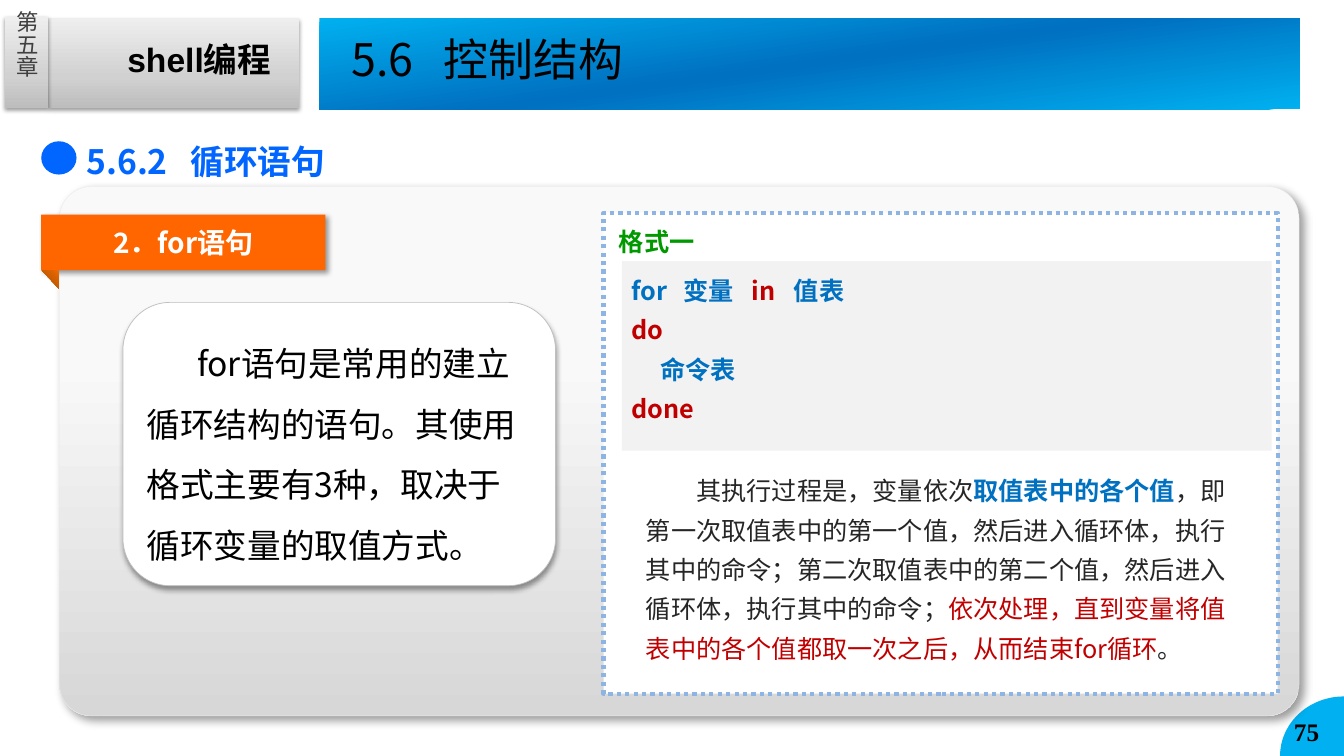
from dataclasses import dataclass
from math import cos, pi, sin
from typing import Optional

from pptx import Presentation
from pptx.dml.color import RGBColor
from pptx.enum.dml import MSO_LINE
from pptx.enum.shapes import MSO_SHAPE
from pptx.enum.text import MSO_ANCHOR, MSO_AUTO_SIZE, PP_ALIGN
from pptx.oxml import parse_xml
from pptx.oxml.ns import nsdecls, qn
from pptx.util import Cm, Pt


@dataclass(frozen=True)
class Theme:
    sans: str = "Noto Sans CJK SC"
    arial: str = "Arial"
    serif: str = "Times New Roman"
    black: str = "000000"
    white: str = "FFFFFF"
    dark: str = "262626"
    gray: str = "404040"
    code_back: str = "F2F2F2"
    section: str = "0066FF"
    orange: str = "FF6600"
    green: str = "009900"
    blue: str = "0070C0"
    red: str = "C00000"
    sky: str = "00B0F0"
    dots: str = "8EB4E3"
    card_edge: str = "EAEAEA"
    note_edge: str = "BFBFBF"
    title_size: int = 32
    large: int = 24
    ribbon_size: int = 20
    body: int = 18
    small: int = 16


THEME = Theme()
Box = tuple[float, float, float, float]  # left, top, width, height in cm


@dataclass(frozen=True)
class Gradient:
    stops: tuple[tuple[int, str], ...]
    angle: Optional[int] = None  # None: radial from the lower left corner


@dataclass(frozen=True)
class Shadow:
    alpha: int
    blur: float
    distance: float
    angle: int


@dataclass(frozen=True)
class Panel:
    box: Box
    fill: str | Gradient
    kind: MSO_SHAPE = MSO_SHAPE.RECTANGLE
    edge: Optional[tuple[str, float]] = None
    shadow: Optional[Shadow] = None


@dataclass(frozen=True)
class Run:
    text: str
    color: str = THEME.black
    bold: bool = False


@dataclass(frozen=True)
class Para:
    runs: tuple[Run, ...]
    size: int = THEME.body
    font: str = THEME.sans
    align: PP_ALIGN = PP_ALIGN.LEFT
    spacing: float = 1.0
    indent: float = 0
    tabs: tuple[float, ...] = ()


def draw_panel(slide, panel: Panel):
    shape = slide.shapes.add_shape(panel.kind, *map(Cm, panel.box))
    paint(shape, panel.fill)
    shape.line.fill.background()
    if panel.edge:
        color, width = panel.edge
        shape.line.color.rgb = RGBColor.from_string(color)
        shape.line.width = Pt(width)
    if panel.shadow:
        cast_shadow(shape, panel.shadow)
    return shape


def paint(shape, fill: str | Gradient) -> None:
    shape.shadow.inherit = False
    shape.fill.solid()
    if isinstance(fill, str):
        shape.fill.fore_color.rgb = RGBColor.from_string(fill)
        return
    stops = "".join(f'<a:gs pos="{pos * 1000}"><a:srgbClr val="{color}"/></a:gs>'
                    for pos, color in fill.stops)
    if fill.angle is None:
        course = '<a:path path="circle"><a:fillToRect t="100000" r="100000"/></a:path>'
    else:
        course = f'<a:lin ang="{fill.angle * 60000}" scaled="0"/>'
    properties = shape._element.spPr
    properties.replace(properties.find(qn("a:solidFill")), parse_xml(
        f'<a:gradFill {nsdecls("a")} rotWithShape="1"><a:gsLst>{stops}</a:gsLst>{course}</a:gradFill>'))


def cast_shadow(shape, shadow: Shadow) -> None:
    shape._element.spPr.find(qn("a:effectLst")).append(parse_xml(
        f'<a:outerShdw {nsdecls("a")} blurRad="{Pt(shadow.blur)}" dist="{Pt(shadow.distance)}" '
        f'dir="{shadow.angle * 60000}" algn="tl" rotWithShape="0"><a:srgbClr val="{THEME.black}">'
        f'<a:alpha val="{shadow.alpha * 1000}"/></a:srgbClr></a:outerShdw>'))


def write(shape, *paras: Para, anchor: MSO_ANCHOR = MSO_ANCHOR.TOP,
          inset: tuple[float, float] = (0.25, 0.13)) -> None:
    frame = shape.text_frame
    frame.word_wrap = True
    frame.auto_size = MSO_AUTO_SIZE.NONE
    frame.vertical_anchor = anchor
    frame.margin_left = frame.margin_right = Cm(inset[0])
    frame.margin_top = frame.margin_bottom = Cm(inset[1])
    for index, para in enumerate(paras):
        paragraph = frame.add_paragraph() if index else frame.paragraphs[0]
        paragraph.alignment = para.align
        paragraph.line_spacing = para.spacing
        properties = paragraph._p.get_or_add_pPr()
        if para.indent:
            properties.set("indent", str(Cm(para.indent)))
        if para.tabs:
            stops = "".join(f'<a:tab pos="{Cm(tab)}" algn="l"/>' for tab in para.tabs)
            properties.append(parse_xml(f'<a:tabLst {nsdecls("a")}>{stops}</a:tabLst>'))
        paragraph.font.size = Pt(para.size)
        paragraph.font.name = para.font
        properties.find(qn("a:defRPr")).append(
            parse_xml(f'<a:ea {nsdecls("a")} typeface="{THEME.sans}"/>'))
        uniform = len({(run.color, run.bold) for run in para.runs}) == 1
        for run in para.runs:
            piece = paragraph.add_run()
            piece.text = run.text
            font = paragraph.font if uniform else piece.font
            font.color.rgb = RGBColor.from_string(run.color)
            font.bold = run.bold


def add_text(slide, box: Box, para: Para, **layout):
    label = slide.shapes.add_textbox(*map(Cm, box))
    write(label, para, **layout)
    return label


def draw_header(slide) -> None:
    silver = Gradient(((0, "BDBDBD"), (35, "D1D1D1"), (100, "EEEEEE")), 270)
    tab_shadow = Shadow(38, 3.1, 1.6, 90)
    draw_panel(slide, Panel((1.22, 0.46, 6.32, 2.26), silver, shadow=tab_shadow))
    add_text(slide, (2.57, 0.86, 5.49, 1.35),
             Para((Run("shell编程", bold=True),), THEME.large, THEME.arial), inset=(0.64, 0.13))
    draw_panel(slide, Panel((0.13, 0.43, 1.09, 2.29), silver, shadow=tab_shadow))
    chapter = add_text(slide, (0.3, 0.28, 0.74, 2.67),
                       Para((Run("第五章", THEME.gray),), THEME.small, align=PP_ALIGN.CENTER),
                       anchor=MSO_ANCHOR.MIDDLE, inset=(0, 0))
    chapter.text_frame._txBody.bodyPr.set("vert", "eaVert")

    # Banner with the title above it
    draw_panel(slide, Panel((8.05, 0.46, 24.71, 2.29), Gradient(
        ((0, THEME.sky), (50, THEME.blue), (100, THEME.sky)), 262)))
    title = slide.shapes.title
    title.left, title.top, title.width, title.height = map(Cm, (8.86, 0.79, 10.69, 1.75))
    write(title, Para((Run("5.6\t控制结构"),), THEME.title_size, tabs=(2.32,)), inset=(0, 0))
    slide.shapes._spTree.append(title._element)


def draw_page_corner(slide) -> None:
    right, bottom, steps = 33.87, 19.05, 24
    arc = [(Cm(right - 1.61 * cos(i * pi / 2 / steps)), Cm(bottom - 1.5 * sin(i * pi / 2 / steps)))
           for i in range(steps + 1)]
    builder = slide.shapes.build_freeform(*arc[0])
    builder.add_line_segments(arc[1:] + [(Cm(right), Cm(bottom))], close=True)
    corner = builder.convert_to_shape()
    paint(corner, THEME.sky)
    corner.line.fill.background()
    add_text(slide, (32.36, 17.93, 1.5, 1.02),
             Para((Run("75", bold=True),), font=THEME.serif))


def draw_topic(slide) -> None:
    card = draw_panel(slide, Panel((1.5, 4.7, 31.24, 13.34), Gradient(
        ((33, "F9F9F9"), (100, "D7D7D7")), 90), MSO_SHAPE.ROUNDED_RECTANGLE,
        (THEME.card_edge, 0.25), Shadow(40, 6, 5, 45)))
    card.adjustments[0] = 0.06
    add_text(slide, (1.93, 3.23, 9.78, 1.47), Para(
        (Run("5.6.2\t循环语句", THEME.section, True),), THEME.large, spacing=1.2, tabs=(2.62,)))
    draw_panel(slide, Panel((1.04, 3.56, 0.89, 0.84), THEME.section, MSO_SHAPE.OVAL))

    # Ribbon and its fold
    ribbon = draw_panel(slide, Panel((1.04, 5.41, 7.16, 1.4), THEME.orange,
                                     shadow=Shadow(40, 4, 3, 45)))
    write(ribbon, Para((Run("2．for语句", THEME.white, True),), THEME.ribbon_size,
                       align=PP_ALIGN.CENTER), anchor=MSO_ANCHOR.MIDDLE)
    fold = draw_panel(slide, Panel((1.04, 6.83, 0.46, 0.43), Gradient(
        ((0, "8D4000"), (50, "C85B00"), (100, "EE6B00"))), MSO_SHAPE.RIGHT_TRIANGLE))
    fold.rotation = 270
    fold._element.spPr.xfrm.set("flipH", "1")


def draw_format(slide) -> None:
    frame = draw_panel(slide, Panel((15.21, 5.36, 16.99, 12.12), THEME.white,
                                    edge=(THEME.dots, 3)))
    frame.line.dash_style = MSO_LINE.ROUND_DOT
    add_text(slide, (15.21, 5.41, 15.34, 1.17), Para(
        (Run("格式一", THEME.green, True),), spacing=1.2), inset=(0.39, 0.13))
    code = draw_panel(slide, Panel((15.67, 6.58, 16.38, 4.78), THEME.code_back))
    code_lines = (
        (Run("for\t变量\t", THEME.blue, True), Run("in", THEME.red, True),
         Run("\t值表", THEME.blue, True)),
        (Run("do", THEME.red, True),),
        (Run("     命令表", THEME.blue, True),),
        (Run("done", THEME.red, True),),
    )
    write(code, *(Para(line, spacing=1.3, tabs=(1.3, 3.02, 4.09) if len(line) > 1 else ())
                  for line in code_lines))
    add_text(slide, (16.03, 11.63, 15.34, 5.16), Para((
        Run("其执行过程是，变量依次", THEME.dark),
        Run("取值表中的各个值", THEME.blue, True),
        Run("，即第一次取值表中的第一个值，然后进入循环体，执行其中的命令；"
            "第二次取值表中的第二个值，然后进入循环体，执行其中的命令；", THEME.dark),
        Run("依次处理，直到变量将值表中的各个值都取一次之后，从而结束for循环", THEME.red),
        Run("。", THEME.dark)), spacing=1.3, indent=1.27))


def draw_note(slide) -> None:
    note = draw_panel(slide, Panel((3.1, 7.62, 10.9, 7.14), THEME.white,
                                   MSO_SHAPE.ROUNDED_RECTANGLE, (THEME.note_edge, 0.5),
                                   Shadow(40, 4, 3, 90)))
    write(note, Para((Run("for语句是常用的建立循环结构的语句。其使用格式主要有3种，"
                          "取决于循环变量的取值方式。"),),
                     THEME.large, spacing=1.5, indent=1.27), anchor=MSO_ANCHOR.MIDDLE)


def main() -> None:
    deck = Presentation()
    deck.slide_width, deck.slide_height = Cm(33.87), Cm(19.05)
    slide = deck.slides.add_slide(deck.slide_layouts[5])
    for draw in (draw_page_corner, draw_header, draw_topic, draw_format, draw_note):
        draw(slide)
    deck.save("out.pptx")


if __name__ == "__main__":
    main()
